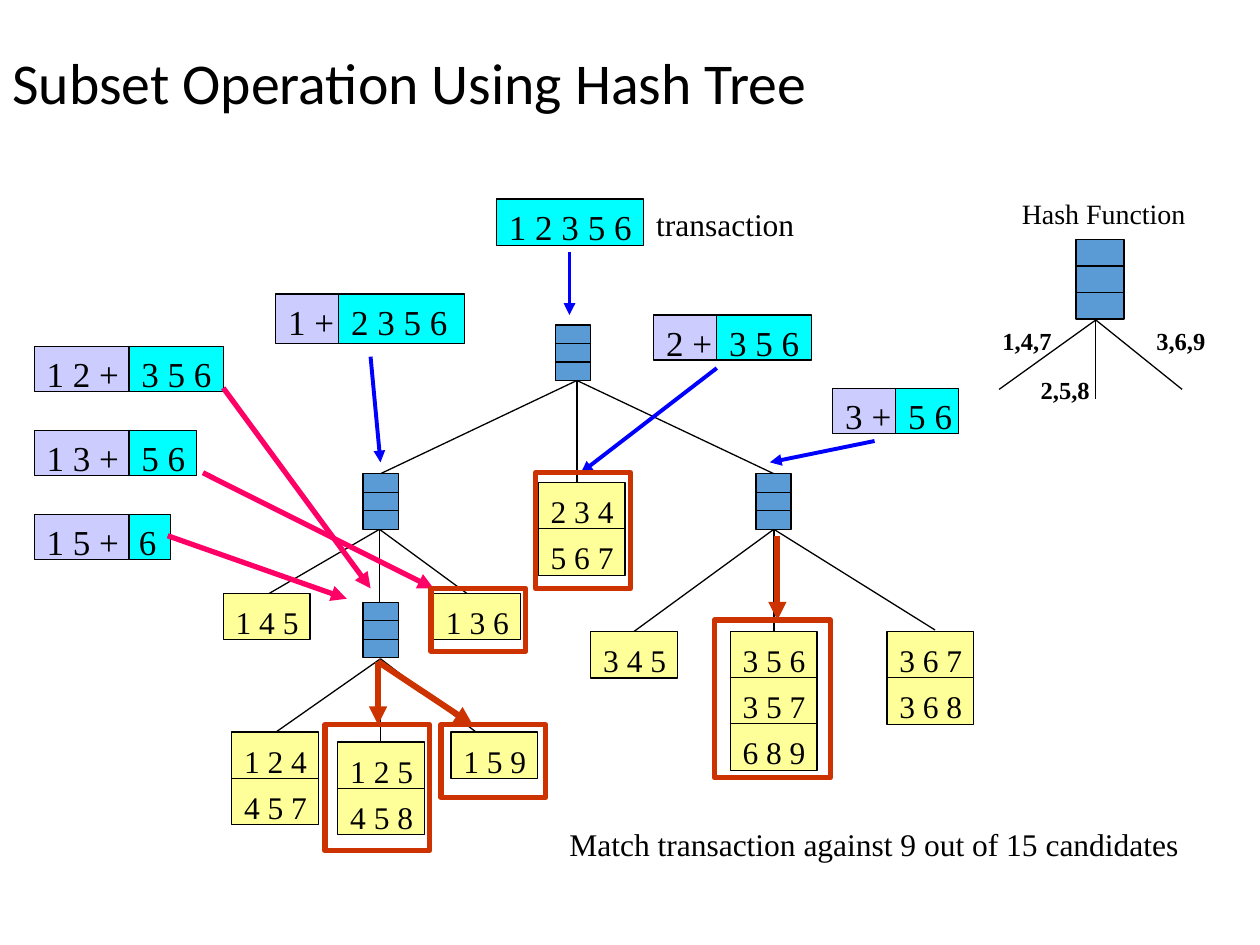
"""Builds the slide on the subset operation with a hash tree."""
from lxml.etree import SubElement
from pptx import Presentation
from pptx.dml.color import RGBColor as RGB
from pptx.enum.shapes import MSO_CONNECTOR as CONNECTOR, MSO_SHAPE as SHAPE
from pptx.enum.text import MSO_ANCHOR as ANCHOR, MSO_AUTO_SIZE as AUTO_SIZE
from pptx.oxml.ns import qn
from pptx.util import Cm, Pt

BLACK = RGB(0x00, 0x00, 0x00)
NODE = RGB(0x5B, 0x9B, 0xD5)
LEAF = RGB(0xFF, 0xFF, 0x99)
ITEMS = RGB(0x00, 0xFF, 0xFF)
PREFIX = RGB(0xCC, 0xCC, 0xFF)
BLUE = RGB(0x00, 0x00, 0xFF)
PINK = RGB(0xFF, 0x00, 0x66)
RED = RGB(0xCC, 0x33, 0x00)

EM_WIDTHS = {" ": 0.25, ",": 0.25, "+": 0.56}
PT_CM = 2.54 / 72

NODE_SIZE = (0.71, 1.12)
LEAF_W, LEAF_H, LEAF_STEP = 1.75, 0.94, 0.93

FANS = [
    ((11.63, 7.67), [(7.67, 9.55), (11.63, 9.73), (15.6, 9.55)]),
    ((7.65, 10.67), [(5.38, 11.99), (7.65, 12.14), (9.45, 11.99)]),
    ((15.6, 10.67), [(12.78, 12.73), (15.6, 12.73), (18.85, 12.7)]),
    ((7.67, 13.28), [(5.56, 14.76), (7.67, 14.96), (9.6, 14.76)]),
    ((22.09, 6.45), [(20.14, 7.85), (22.09, 8.05), (23.83, 7.85)]),
]
NODES = [(7.32, 9.55), (15.24, 9.55), (7.32, 12.14), (11.2, 6.55)]
LEAVES = [
    (9.09, 14.76, ["1 5 9"]),
    (4.5, 11.96, ["1 4 5"]),
    (8.74, 11.96, ["1 3 6"]),
    (11.91, 12.73, ["3 4 5"]),
    (17.88, 12.73, ["3 6 7", "3 6 8"]),
    (14.72, 12.73, ["3 5 6", "3 5 7", "6 8 9"]),
    (10.85, 9.73, ["2 3 4", "5 6 7"]),
    (4.67, 14.76, ["1 2 4", "4 5 7"]),
    (6.81, 14.96, ["1 2 5", "4 5 8"]),
]
HASH_LABELS = [(19.96, 6.45, "1,4,7"), (20.73, 7.44, "2,5,8"), (23.06, 6.45, "3,6,9")]
SPLITS = [
    (0.69, 6.99, 0.91, "1 2 +", 1.91, "3 5 6", 1.91),
    (0.69, 8.68, 0.91, "1 3 +", 1.91, "5 6", 1.37),
    (0.69, 10.37, 0.91, "1 5 +", 1.91, "6", 0.84),
    (13.18, 6.35, 0.91, "2 +", 1.27, "3 5 6", 1.91),
    (16.79, 7.83, 0.91, "3 +", 1.27, "5 6", 1.27),
    (5.56, 5.93, 1, "1 +", 1.27, "2 3 5 6", 2.54),
]
ARROWS = [
    (BLUE, 2.25, [
        ((11.48, 5.08), (11.48, 6.35)),
        ((7.47, 7.19), (7.67, 9.32)),
        ((14.45, 7.42), (11.71, 9.53)),
        ((17.63, 8.89), (15.52, 9.32)),
    ]),
    (PINK, 3, [
        ((4.5, 7.82), (7.47, 11.86)),
        ((3.38, 10.8), (6.99, 12.07)),
        ((4.09, 9.53), (8.74, 11.86)),
    ]),
    (RED, 3.5, [
        ((7.62, 13.34), (7.62, 14.61)),
        ((7.62, 13.34), (9.53, 14.61)),
        ((15.67, 10.8), (15.67, 12.5)),
    ]),
]
FRAMES = [
    (6.55, 14.61, 2.11, 2.54),
    (8.89, 14.61, 2.11, 1.47),
    (10.8, 9.53, 1.91, 2.34),
    (8.69, 11.86, 1.91, 1.27),
    (14.4, 12.5, 2.34, 3.18),
]


class Board:
    """Draws styled elements on one slide, with lengths in centimetres."""

    def __init__(self, s, font="Times New Roman"):
        self.s = s
        self.font = font

    def rect(self, x, y, w, h, fill=None, line=BLACK, weight=0.75):
        sp = self.s.shapes.add_shape(SHAPE.RECTANGLE, Cm(x), Cm(y), Cm(w), Cm(h))
        sp.shadow.inherit = False
        if fill is None:
            sp.fill.background()
        else:
            sp.fill.solid()
            sp.fill.fore_color.rgb = fill
        sp.line.color.rgb = line
        sp.line.width = Pt(weight)

    def line(self, start, end, color=BLACK, weight=0.75, arrow=False):
        points = [Cm(v) for v in (*start, *end)]
        cn = self.s.shapes.add_connector(CONNECTOR.STRAIGHT, *points)
        cn.line.color.rgb = color
        cn.line.width = Pt(weight)
        if arrow:
            SubElement(cn.line._get_or_add_ln(), qn("a:tailEnd"), type="triangle")
        SubElement(cn._element.spPr, qn("a:effectLst"))

    def text(self, x, y, text, size, w=None, h=None, bold=False, font=None):
        fitted = h is None
        if w is None:
            ems = sum(EM_WIDTHS.get(ch, 0.5) for ch in text)
            w = ems * size * PT_CM + 0.51
        if fitted:
            h = 1.2 * size * PT_CM + 0.25
        sp = self.s.shapes.add_textbox(Cm(x), Cm(y), Cm(w), Cm(h))
        tf = sp.text_frame
        tf.word_wrap = not fitted
        tf.auto_size = AUTO_SIZE.SHAPE_TO_FIT_TEXT if fitted else AUTO_SIZE.NONE
        tf.vertical_anchor = ANCHOR.TOP if fitted else ANCHOR.MIDDLE
        r = tf.paragraphs[0].add_run()
        r.text = text
        r.font.name = font or self.font
        r.font.size = Pt(size)
        r.font.bold = bold
        r.font.color.rgb = BLACK

    def fan(self, apex, ends):
        for end in ends:
            self.line(apex, end)

    def node(self, x, y, w, h):
        self.rect(x, y, w, h, NODE)
        for i in (1, 2):
            level = y + i * h / 3
            self.line((x, level), (x + w, level))

    def leaf(self, x, y, candidates):
        for i, candidate in enumerate(candidates):
            top = y + i * LEAF_STEP
            self.rect(x, top, LEAF_W, LEAF_H, LEAF)
            self.text(x, top + 0.07, candidate, 18)

    def cell(self, x, y, w, h, text, fill):
        self.rect(x, y, w, h, fill)
        self.text(x - 0.05 if text == "6" else x, y, text, 20)

    def split(self, x, y, h, prefix, prefix_w, rest, rest_w):
        self.cell(x, y, prefix_w, h, prefix, PREFIX)
        self.cell(x + prefix_w, y, rest_w, h, rest, ITEMS)


def main():
    prs = Presentation()
    prs.slide_width, prs.slide_height = Cm(25.4), Cm(19.05)
    board = Board(prs.slides.add_slide(prs.slide_layouts[6]))

    board.text(0, 0.76, "Subset Operation Using Hash Tree", 33, 25.4, 1.78, font="Calibri")
    for apex, ends in FANS:
        board.fan(apex, ends)
    for x, y in NODES:
        board.node(x, y, *NODE_SIZE)
    for leaf in LEAVES:
        board.leaf(*leaf)

    board.node(21.69, 4.83, 0.97, 1.6)
    for x, y, label in HASH_LABELS:
        board.text(x, y, label, 14, bold=True)
    board.text(20.35, 3.84, "Hash Function", 16, 3.84)

    board.cell(10.01, 4.01, 2.97, 0.94, "1 2 3 5 6", ITEMS)
    board.text(12.98, 4.01, "transaction", 18, 3.3)
    for split in SPLITS:
        board.split(*split)
    for color, weight, paths in ARROWS:
        for start, end in paths:
            board.line(start, end, color, weight, arrow=True)
    for frame in FRAMES:
        board.rect(*frame, line=RED, weight=3)
    board.text(11.23, 16.51, "Match transaction against 9 out of 15 candidates", 18, 13.36)

    prs.save("out.pptx")


if __name__ == "__main__":
    main()
